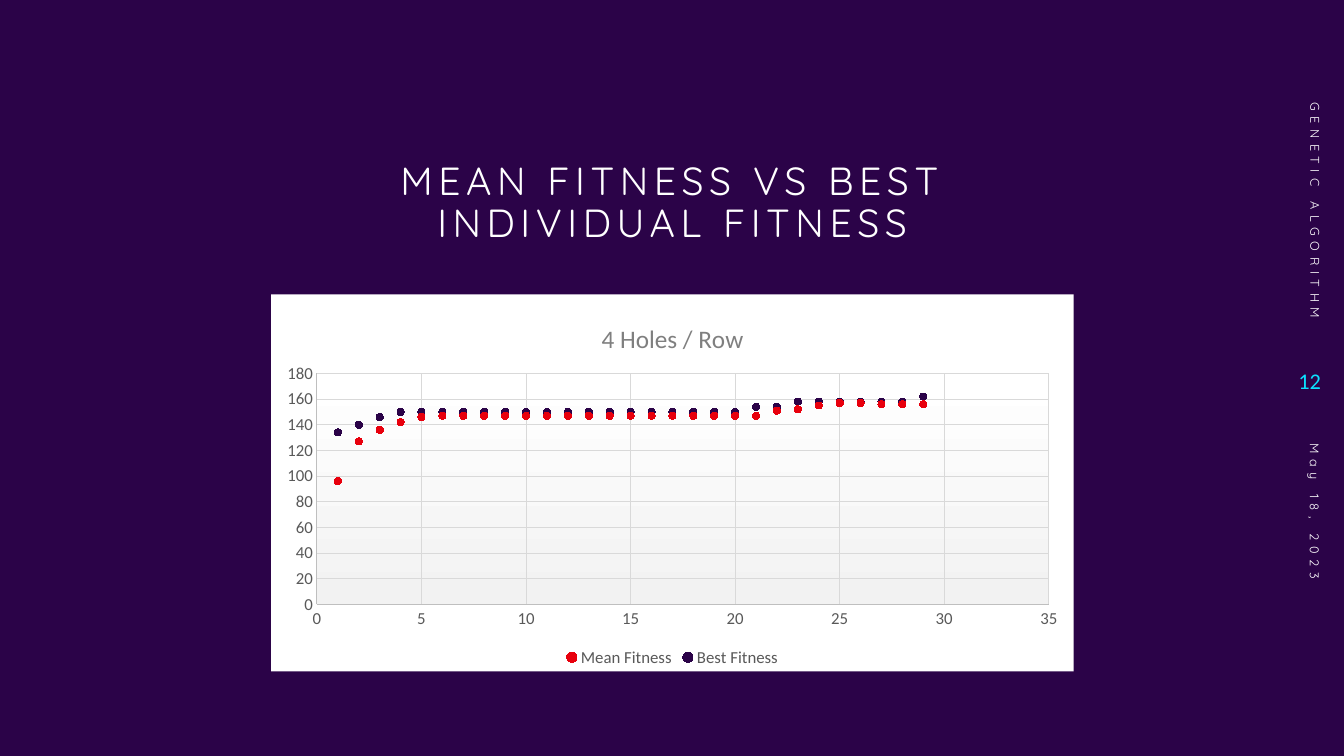
from lxml import etree
from pptx import Presentation
from pptx.chart.data import XyChartData
from pptx.dml.color import RGBColor
from pptx.enum.chart import XL_CHART_TYPE, XL_LEGEND_POSITION, XL_MARKER_STYLE, XL_TICK_MARK
from pptx.enum.text import MSO_ANCHOR, PP_ALIGN
from pptx.oxml import parse_xml
from pptx.oxml.ns import nsdecls, qn
from pptx.util import Inches, Pt

SCATTER = XL_CHART_TYPE.XY_SCATTER
BOTTOM_LEGEND = XL_LEGEND_POSITION.BOTTOM
CIRCLE = XL_MARKER_STYLE.CIRCLE
NO_TICK = XL_TICK_MARK.NONE
BOTTOM, MIDDLE = MSO_ANCHOR.BOTTOM, MSO_ANCHOR.MIDDLE
LEFT, CENTER, RIGHT = PP_ALIGN.LEFT, PP_ALIGN.CENTER, PP_ALIGN.RIGHT

prs = Presentation()
prs.slide_width, prs.slide_height = Inches(13.33), Inches(7.5)
slide = prs.slides.add_slide(prs.slide_layouts[6])


def color(hex_code):
    return RGBColor.from_string(hex_code)


def place(left, top, width, height):
    across, down = prs.slide_width / 100, prs.slide_height / 100
    return int(left * across), int(top * down), int(width * across), int(height * down)


slide.background.fill.solid()
slide.background.fill.fore_color.rgb = color("2B0348")

texts = [
    ("MEAN FITNESS VS BEST INDIVIDUAL FITNESS", (19.58, 23.2, 60.9, 10),
     0, BOTTOM, CENTER, "Quicksand", 28, "FFFFFF", 4),
    ("GENETIC ALGORITHM", (86.5, 20.53, 22.73, 5.33),
     90, MIDDLE, RIGHT, "Quicksand", 9, "FFFFFF", 4),
    ("12", (94.52, 46.13, 4.5, 8.4), 0, MIDDLE, RIGHT, "Calibri", 16, "0BE1FF", 0),
    ("May 18, 2023", (86.95, 74, 21.76, 5.33),
     90, MIDDLE, LEFT, "Quicksand", 9, "FFFFFF", 4),
]
for wording, area, turn, anchor, align, typeface, size, ink, spacing in texts:
    box = slide.shapes.add_textbox(*place(*area))
    box.rotation = turn
    frame = box.text_frame
    frame.word_wrap = True
    frame.vertical_anchor = anchor
    frame.text = wording
    line = frame.paragraphs[0]
    line.alignment = align
    line.line_spacing = 0.9 if anchor == BOTTOM else 1.0
    font = line.runs[0].font
    font.name, font.size = typeface, Pt(size)
    font.color.rgb = color(ink)
    if spacing:
        line.runs[0]._r.get_or_add_rPr().set("spc", str(spacing * 100))

mean_fitness = ([96, 127, 136, 142, 146] + [147] * 16
                + [151, 152, 155, 157, 157, 156, 156, 156])
best_fitness = [134, 140, 146] + [150] * 17 + [154] * 2 + [158] * 6 + [162]
fitness_data = XyChartData()
for label, values in (("Mean Fitness", mean_fitness), ("Best Fitness", best_fitness)):
    points = fitness_data.add_series(label)
    for generation, fitness in enumerate(values, 1):
        points.add_data_point(generation, fitness)

chart = slide.shapes.add_chart(
    SCATTER, *place(20.18, 38.93, 59.71, 49.87), fitness_data).chart
chart.font.name, chart.font.size = "Calibri", Pt(12)
chart.font.color.rgb = color("595959")

chart.has_title = True
chart.chart_title.text_frame.text = "4 Holes / Row"
title_font = chart.chart_title.text_frame.paragraphs[0].runs[0].font
title_font.name, title_font.size, title_font.bold = "Calibri", Pt(18), False
title_font.color.rgb = color("7F7F7F")

chart.has_legend = True
chart.legend.position = BOTTOM_LEGEND
chart.legend.include_in_layout = False

for axis, top_value, step in ((chart.category_axis, 35, 5), (chart.value_axis, 180, 20)):
    axis.minimum_scale, axis.maximum_scale, axis.major_unit = 0, top_value, step
    axis.major_tick_mark = axis.minor_tick_mark = NO_TICK
    axis.has_major_gridlines = True
    axis.tick_labels.number_format = "General"
    axis.tick_labels.number_format_is_linked = False
    for rule, ink in ((axis.format.line, "BFBFBF"), (axis.major_gridlines.format.line, "D9D9D9")):
        rule.color.rgb = color(ink)
        rule.width = Pt(0.75)

chart.plots[0].vary_by_categories = False
for series, ink in zip(chart.plots[0].series, ("E8000D", "2B0348")):
    series.format.line.fill.background()
    series.marker.style, series.marker.size = CIRCLE, 5
    series.marker.format.fill.solid()
    series.marker.format.fill.fore_color.rgb = color(ink)
    series.marker.format.line.color.rgb = color(ink)

chart_xml = chart._chartSpace.find(qn("c:chart"))
plot_area = chart_xml.find(qn("c:plotArea"))
title_xml = chart_xml.find(qn("c:title"))
inner_plot = {"layoutTarget": "inner", "xMode": "edge", "yMode": "edge",
              "x": 0.057, "y": 0.21, "w": 0.912, "h": 0.613}
title_spot = {"xMode": "edge", "yMode": "edge", "x": 0.406, "y": 0.06}
for parent, index, settings in ((plot_area, 0, inner_plot), (title_xml, 1, title_spot)):
    for old_layout in parent.findall(qn("c:layout")):
        parent.remove(old_layout)
    layout = etree.Element(qn("c:layout"))
    manual = etree.SubElement(layout, qn("c:manualLayout"))
    for setting, value in settings.items():
        etree.SubElement(manual, qn("c:" + setting)).set("val", str(value))
    parent.insert(index, layout)

plot_area.append(parse_xml(
    f'<c:spPr {nsdecls("c", "a")}><a:gradFill><a:gsLst>'
    '<a:gs pos="0"><a:srgbClr val="FFFFFF"/></a:gs>'
    '<a:gs pos="100000"><a:srgbClr val="F2F2F2"/></a:gs>'
    '</a:gsLst><a:lin ang="5400000" scaled="0"/></a:gradFill>'
    '<a:ln><a:noFill/></a:ln></c:spPr>'))
chart_xml.addnext(parse_xml(
    f'<c:spPr {nsdecls("c", "a")}><a:solidFill><a:srgbClr val="FFFFFF"/></a:solidFill>'
    '<a:ln><a:noFill/></a:ln></c:spPr>'))

prs.save("out.pptx")
